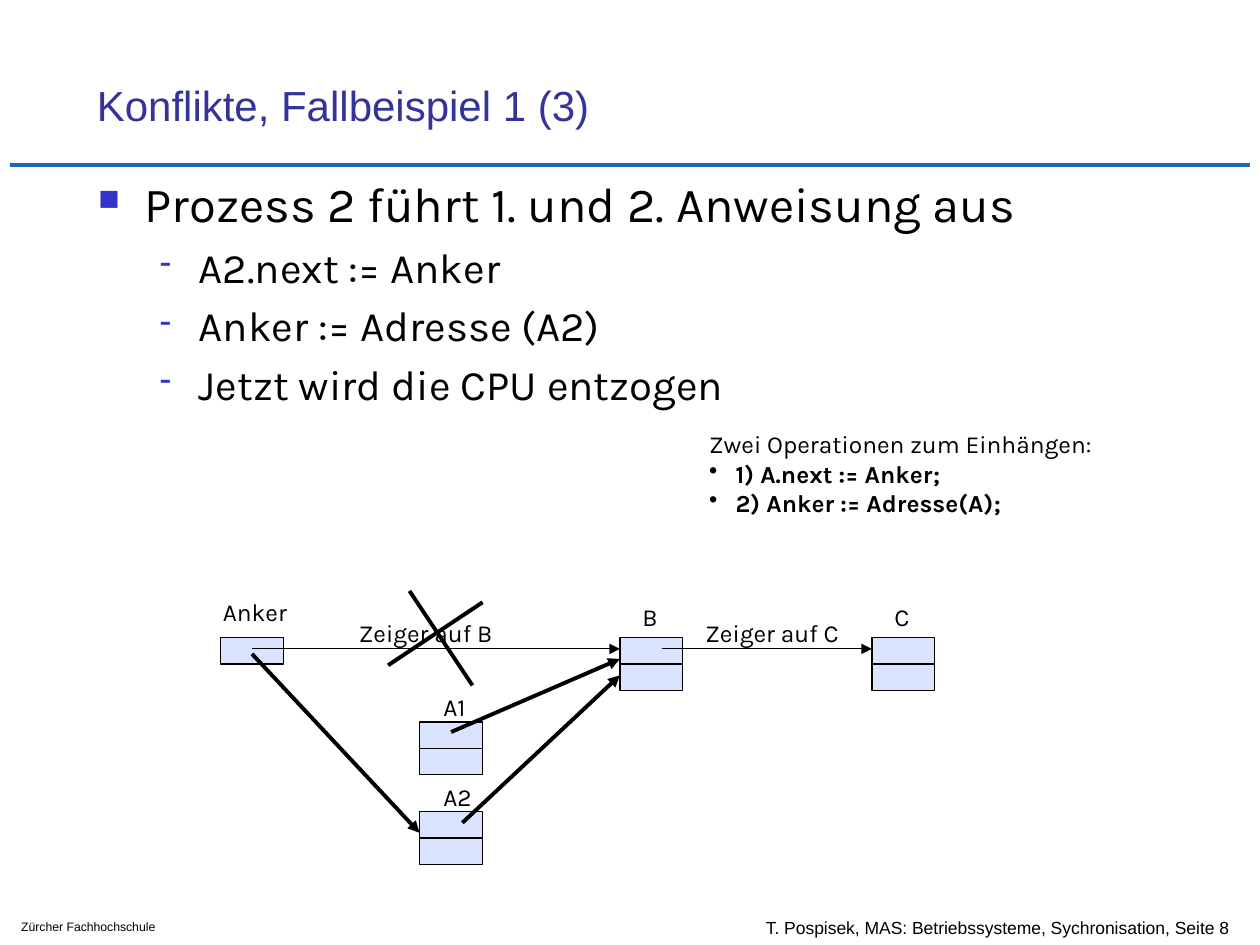
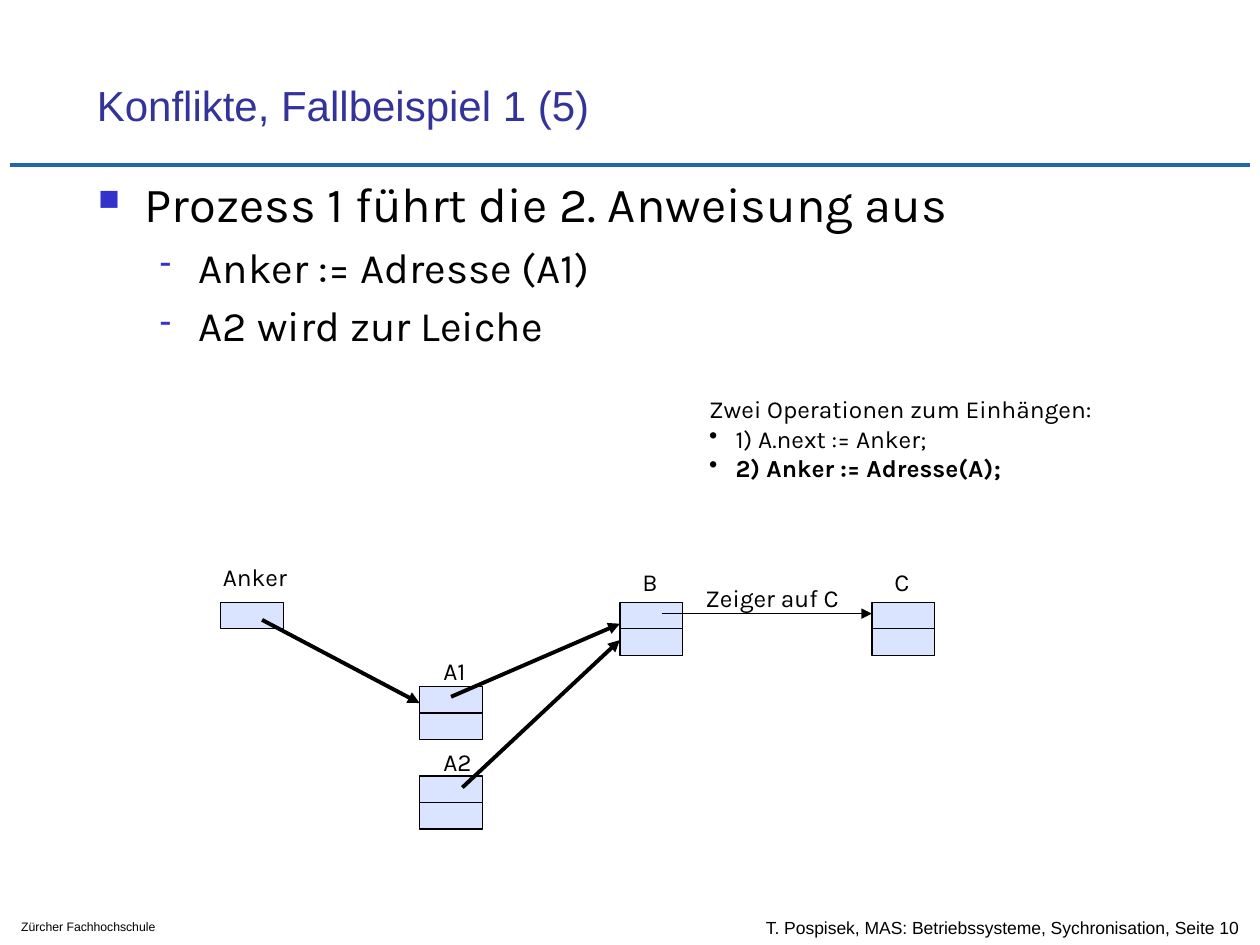
from dataclasses import dataclass

from lxml import etree
from pptx import Presentation
from pptx.dml.color import RGBColor
from pptx.enum.shapes import MSO_CONNECTOR, MSO_SHAPE
from pptx.enum.text import MSO_ANCHOR
from pptx.oxml.ns import qn
from pptx.util import Inches, Pt

STRAIGHT = MSO_CONNECTOR.STRAIGHT
RECTANGLE = MSO_SHAPE.RECTANGLE
TOP, MIDDLE, BOTTOM = MSO_ANCHOR.TOP, MSO_ANCHOR.MIDDLE, MSO_ANCHOR.BOTTOM


@dataclass(frozen=True)
class Theme:
    heading_font: str = "Arial"
    body_font: str = "Karla"
    black: str = "000000"
    title: str = "333399"
    bullet: str = "3333CC"
    rule: str = "2266AB"
    cell: str = "DAE4FF"
    title_size: float = 24
    main_size: float = 28
    sub_size: float = 24
    label_size: float = 14
    footer_size: float = 10
    school_size: float = 7
    thin: float = 0.75
    thick: float = 2.25
    rule_width: float = 2.5


THEME = Theme()
CELL_WIDTH, CELL_HEIGHT = 0.5, 0.21
NODES = {
    "Anker": (1.75, 0, 1),
    "B": (4.92, 0, 2),
    "C": (6.92, 0, 2),
    "A1": (3.33, 0.67, 2),
    "A2": (3.33, 1.38, 2),
}
LABELS = {
    "Anker": (1.67, -0.37, 0.83),
    "B": (5, -0.33, 0.25),
    "C": (7, -0.33, 0.25),
    "A1": (3.42, 0.38, 0.58),
    "A2": (3.42, 1.1, 0.58),
}
POINTER_TO_B = ((2, 0.09), (4.92, 0.09))
POINTER_TO_C = ((5.25, 0.09), (6.92, 0.09))
A1_TO_B = ((3.58, 0.75), (4.92, 0.17))
A2_TO_B = ((3.67, 1.47), (4.92, 0.3))
ANCHOR_TO_A1 = ((2.08, 0.14), (3.33, 0.8))
ANCHOR_TO_A2 = ((2, 0.13), (3.33, 1.55))
CROSS_OUT = (((3.08, 0.22), (3.83, -0.28)), ((3.75, 0.38), (3.25, -0.37)))


def add_frame(slide, left, top, width, height, anchor=TOP):
    frame = slide.shapes.add_textbox(
        Inches(left), Inches(top), Inches(width), Inches(height)).text_frame
    frame.word_wrap = True
    frame.vertical_anchor = anchor
    return frame


def format_runs(paragraph, size, font, color=THEME.black, bold=False):
    for run in paragraph.runs:
        run.font.size = Pt(size)
        run.font.name = font
        run.font.bold = bold
        run.font.color.rgb = RGBColor.from_string(color)


def add_text(slide, text, box, size, font=THEME.body_font,
             color=THEME.black, anchor=TOP):
    frame = add_frame(slide, *box, anchor)
    frame.text = text
    format_runs(frame.paragraphs[0], size, font, color)


def indent(paragraph, margin, hanging):
    properties = paragraph._p.get_or_add_pPr()
    properties.set("marL", str(Inches(margin)))
    properties.set("indent", str(-Inches(hanging)))
    return properties


def set_bullet(properties, symbol, color, percent):
    bullet_color = etree.SubElement(properties, qn("a:buClr"))
    etree.SubElement(bullet_color, qn("a:srgbClr")).set("val", color)
    etree.SubElement(properties, qn("a:buSzPct")).set("val", str(percent * 1000))
    etree.SubElement(properties, qn("a:buChar")).set("char", symbol)


def add_line(slide, start, end, width, color=THEME.black, arrow=False):
    ends = [Inches(value) for value in (*start, *end)]
    connector = slide.shapes.add_connector(STRAIGHT, *ends)
    connector.line.color.rgb = RGBColor.from_string(color)
    connector.line.width = Pt(width)
    properties = connector._element.spPr
    if arrow:
        outline = properties.find(qn("a:ln"))
        etree.SubElement(outline, qn("a:tailEnd")).set("type", "triangle")
    etree.SubElement(properties, qn("a:effectLst"))


def add_master_parts(slide, title, page):
    add_line(slide, (0.08, 1.31), (9.92, 1.31), THEME.rule_width, THEME.rule)
    add_text(slide, f"T. Pospisek, MAS: Betriebssysteme, Sychronisation, Seite {page}",
             (5.98, 7.2, 4.9, 0.33), THEME.footer_size, THEME.heading_font,
             anchor=MIDDLE)
    add_text(slide, "Zürcher Fachhochschule", (0.07, 7.25, 1.72, 0.22),
             THEME.school_size, THEME.heading_font)
    add_text(slide, title, (0.67, 0.33, 8.52, 0.75), THEME.title_size,
             THEME.heading_font, THEME.title, BOTTOM)


def add_steps(slide, statement, steps):
    frame = add_frame(slide, 0.67, 1.33, 8.5, 2.08)
    frame.text = "\n".join([statement, *steps])
    for position, paragraph in enumerate(frame.paragraphs):
        if position == 0:
            size, margin, hanging, symbol, percent = THEME.main_size, 0.38, 0.37, "■", 60
        else:
            size, margin, hanging, symbol, percent = THEME.sub_size, 0.81, 0.31, "-", 80
            paragraph.level = 1
        paragraph.space_before = Pt(size * 0.2)
        set_bullet(indent(paragraph, margin, hanging), symbol, THEME.bullet, percent)
        format_runs(paragraph, size, THEME.body_font)


def add_operations(slide, top, bold_operations):
    frame = add_frame(slide, 5.53, top, 3.78, 1.03)
    frame.text = ("Zwei Operationen zum Einhängen:\n"
                  "1) A.next := Anker;\n2) Anker := Adresse(A);")
    for number, paragraph in enumerate(frame.paragraphs):
        properties = indent(paragraph, 0.21, 0.21)
        if number:
            set_bullet(properties, "•", THEME.black, 100)
        format_runs(paragraph, THEME.label_size, THEME.body_font,
                    bold=number in bold_operations)


def add_node(slide, left, top, cell_count):
    for row in range(cell_count):
        cell = slide.shapes.add_shape(
            RECTANGLE, Inches(left), Inches(top + row * CELL_HEIGHT),
            Inches(CELL_WIDTH), Inches(CELL_HEIGHT))
        cell.shadow.inherit = False
        cell.fill.solid()
        cell.fill.fore_color.rgb = RGBColor.from_string(THEME.cell)
        cell.line.color.rgb = RGBColor.from_string(THEME.black)
        cell.line.width = Pt(THEME.thin)


def add_linked_list(slide, top, pointers, links, pointer_labels, crossed=()):
    def shifted(line):
        return [(x, top + y) for x, y in line]

    for left, offset, cell_count in NODES.values():
        add_node(slide, left, top + offset, cell_count)
    for pointer in pointers:
        add_line(slide, *shifted(pointer), THEME.thin, arrow=True)
    for link in links:
        add_line(slide, *shifted(link), THEME.thick, arrow=True)
    for stroke in crossed:
        add_line(slide, *shifted(stroke), THEME.thick)
    for name, (left, offset, width) in LABELS.items():
        add_text(slide, name, (left, top + offset, width, 0.33), THEME.label_size)
    for label, left in pointer_labels.items():
        add_text(slide, label, (left, top - 0.2, 1.42, 0.33), THEME.label_size)


def main():
    deck = Presentation()
    deck.slide_width, deck.slide_height = Inches(10), Inches(7.5)
    blank = deck.slide_layouts[6]

    interrupted = deck.slides.add_slide(blank)
    add_master_parts(interrupted, "Konflikte, Fallbeispiel 1 (3)", 8)
    add_steps(interrupted, "Prozess 2 führt 1. und 2. Anweisung aus",
              ["A2.next := Anker", "Anker := Adresse (A2)",
               "Jetzt wird die CPU entzogen"])
    add_operations(interrupted, 3.36, (1, 2))
    add_linked_list(interrupted, 5.06, [POINTER_TO_C, POINTER_TO_B],
                    [A1_TO_B, ANCHOR_TO_A2, A2_TO_B],
                    {"Zeiger auf B": 2.75, "Zeiger auf C": 5.5}, CROSS_OUT)

    orphaned = deck.slides.add_slide(blank)
    add_master_parts(orphaned, "Konflikte, Fallbeispiel 1 (5)", 10)
    add_steps(orphaned, "Prozess 1 führt die 2. Anweisung aus",
              ["Anker := Adresse (A1)", "A2 wird zur Leiche"])
    add_operations(orphaned, 3.08, (2,))
    add_linked_list(orphaned, 4.78, [POINTER_TO_C],
                    [A1_TO_B, A2_TO_B, ANCHOR_TO_A1], {"Zeiger auf C": 5.5})

    deck.save("out.pptx")


if __name__ == "__main__":
    main()
